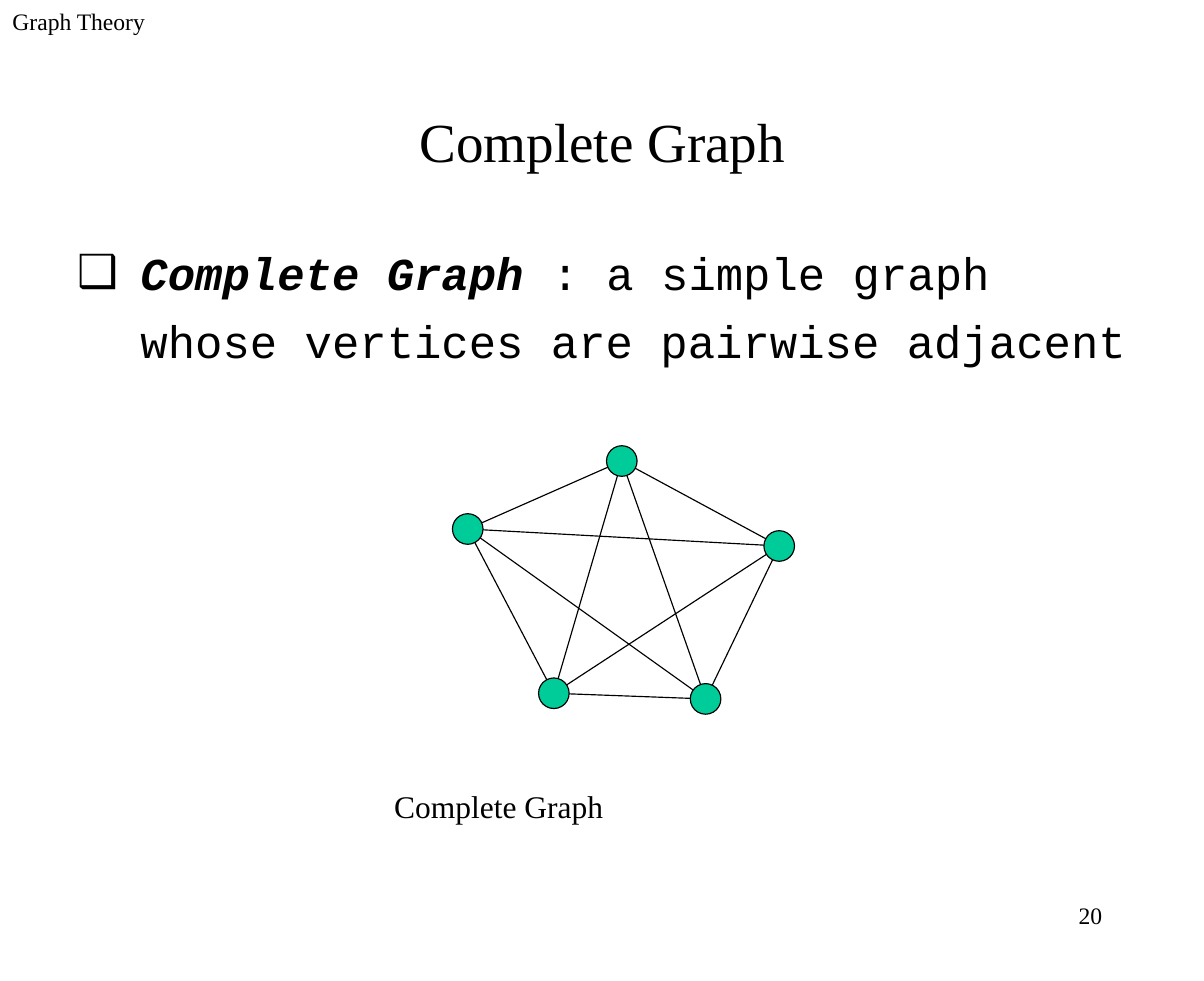
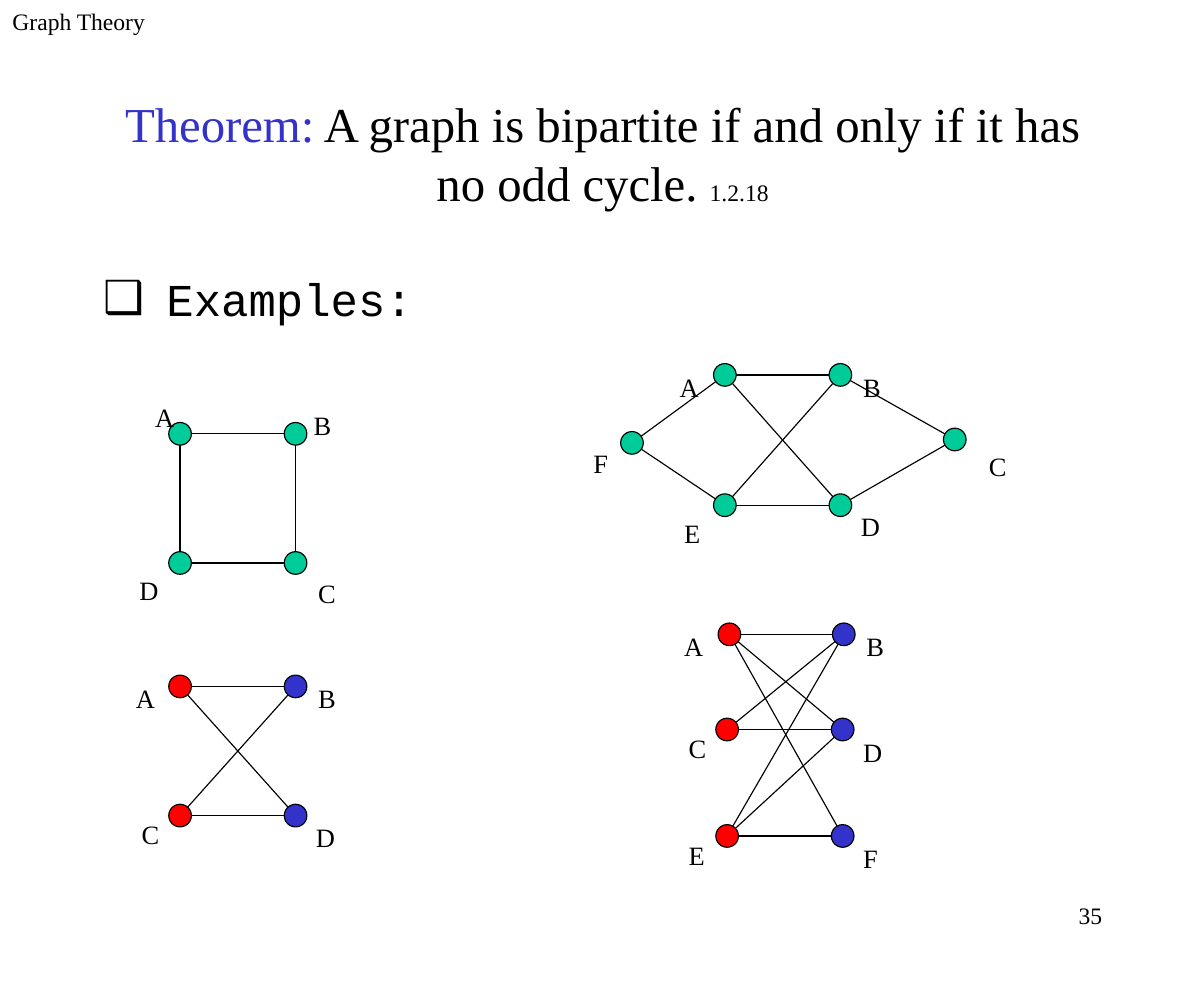
"""Two slides on complete and bipartite graphs."""
import math
from dataclasses import dataclass
from typing import Optional

from lxml import etree
from pptx import Presentation
from pptx import util as u
from pptx.dml.color import RGBColor
from pptx.enum import shapes, text
from pptx.oxml.ns import qn

PX = 9144
SERIF, MONO = "Times New Roman", "Courier New"
BLACK, GREEN, RED, BLUE = "000000", "00CC99", "FF0000", "3333CC"
LEFT, CENTER, RIGHT = text.PP_ALIGN.LEFT, text.PP_ALIGN.CENTER, text.PP_ALIGN.RIGHT
Box = tuple[int, int, int, int]


@dataclass(frozen=True)
class Run:
    words: str
    color: Optional[str] = None
    size: Optional[int] = None
    emphasis: bool = False


@dataclass(frozen=True)
class Vertex:
    name: str
    x: int
    y: int
    fill: str = GREEN
    label_at: Optional[tuple[int, int]] = None


@dataclass(frozen=True)
class Graph:
    vertices: list[Vertex]
    edges: str
    diameter: int = 20
    edge_gap: int = 0


@dataclass(frozen=True)
class Page:
    number: str
    title: list[Run]
    title_box: Box
    title_size: int
    body: list[Run]
    body_box: Box
    graphs: list[Graph]
    caption: str = ""


PAGES = [
    Page(
        "20",
        [Run("Complete Graph")], (80, 63, 904, 122), 35,
        [Run("Complete Graph ", emphasis=True),
         Run(": a simple graph whose vertices are pairwise adjacent")],
        (57, 198, 958, 165),
        [Graph([Vertex("1", 549, 407), Vertex("2", 688, 482), Vertex("3", 623, 617),
                Vertex("4", 489, 612), Vertex("5", 413, 467)],
               "12 13 14 15 23 24 25 34 35 45", diameter=27, edge_gap=13)],
        caption="Complete Graph",
    ),
    Page(
        "35",
        [Run("Theorem:", BLUE),
         Run(" A graph is bipartite if and only if it has no odd cycle. "),
         Run("1.2.18", size=15)],
        (80, 77, 904, 115), 31,
        [Run("Examples:")], (80, 221, 904, 64),
        [
            Graph([Vertex("A", 159, 383, GREEN, (126, 325)),
                   Vertex("B", 261, 383, GREEN, (266, 332)),
                   Vertex("C", 261, 497, GREEN, (270, 480)),
                   Vertex("D", 159, 497, GREEN, (112, 477))],
                  "AB BC CD DA"),
            Graph([Vertex("A", 159, 606, RED, (109, 573)),
                   Vertex("B", 261, 606, BLUE, (270, 573)),
                   Vertex("C", 159, 720, RED, (114, 693)),
                   Vertex("D", 261, 720, BLUE, (268, 695))],
                  "AB CD AD CB"),
            Graph([Vertex("A", 640, 331, GREEN, (589, 298)),
                   Vertex("B", 742, 331, GREEN, (751, 298)),
                   Vertex("C", 843, 388, GREEN, (862, 368)),
                   Vertex("D", 742, 446, GREEN, (749, 421)),
                   Vertex("E", 640, 446, GREEN, (593, 427)),
                   Vertex("F", 558, 391, GREEN, (513, 365))],
                  "AB BC CD DE EF FA AD BE"),
            Graph([Vertex("A", 644, 560, RED, (593, 527)),
                   Vertex("B", 745, 560, BLUE, (754, 527)),
                   Vertex("C", 642, 644, RED, (597, 617)),
                   Vertex("D", 744, 644, BLUE, (751, 620)),
                   Vertex("E", 642, 738, RED, (597, 711)),
                   Vertex("F", 744, 738, BLUE, (751, 714))],
                  "AB AD AF CB CD EB ED EF"),
        ],
    ),
]


def px(length: float) -> int:
    """Turn px into EMU."""
    return u.Emu(round(length * PX))


def rgb(color: str) -> RGBColor:
    """Read a hex colour."""
    return RGBColor.from_string(color)


def set_font(font, name: str, size: int, color: str = BLACK) -> None:
    """Set typeface, size and colour."""
    font.name, font.size = name, u.Pt(size)
    font.color.rgb = rgb(color)


def set_frame(frame, anchor=text.MSO_ANCHOR.TOP) -> None:
    """Give a text frame the shared insets and wrapping."""
    frame.word_wrap = True
    frame.auto_size = text.MSO_AUTO_SIZE.NONE
    frame.vertical_anchor = anchor
    frame.margin_left = frame.margin_right = px(11)
    frame.margin_top = frame.margin_bottom = px(6)


def place(shape, box: Box) -> None:
    """Move and size a shape."""
    shape.left, shape.top, shape.width, shape.height = map(px, box)


def add_runs(paragraph, runs: list[Run]) -> None:
    """Write runs with only their own differences."""
    for part in runs:
        run = paragraph.add_run()
        run.text = part.words
        if part.color:
            run.font.color.rgb = rgb(part.color)
        if part.size:
            run.font.size = u.Pt(part.size)
        if part.emphasis:
            run.font.bold = run.font.italic = True


def add_text(slide, words: str, box: Box, size: int, align=LEFT):
    """Add a one-paragraph text box and return its paragraph."""
    frame = slide.shapes.add_textbox(*map(px, box)).text_frame
    set_frame(frame)
    paragraph = frame.paragraphs[0]
    paragraph.text, paragraph.alignment = words, align
    set_font(paragraph.font, SERIF, size)
    return paragraph


def fill_title(slide, page: Page) -> None:
    """Fill the title placeholder."""
    title = slide.shapes.title
    place(title, page.title_box)
    set_frame(title.text_frame, text.MSO_ANCHOR.MIDDLE)
    paragraph = title.text_frame.paragraphs[0]
    paragraph.alignment = CENTER
    set_font(paragraph.font, SERIF, page.title_size)
    add_runs(paragraph, page.title)


def fill_body(slide, page: Page) -> None:
    """Fill the body placeholder with one bulleted item."""
    body = slide.placeholders[1]
    place(body, page.body_box)
    set_frame(body.text_frame)
    paragraph = body.text_frame.paragraphs[0]
    properties = paragraph._p.get_or_add_pPr()
    properties.set("marL", str(px(56)))
    properties.set("indent", str(px(-56)))
    bullet_color = etree.SubElement(properties, qn("a:buClr"))
    etree.SubElement(bullet_color, qn("a:srgbClr")).set("val", BLACK)
    etree.SubElement(properties, qn("a:buChar")).set("char", "❑")
    paragraph.line_spacing, paragraph.space_before = 1.25, u.Pt(0)
    set_font(paragraph.font, MONO, 29)
    add_runs(paragraph, page.body)


def add_edge(slide, start: Vertex, end: Vertex, gap: int) -> None:
    """Join two vertices, stopping short of each centre by the gap."""
    share = gap / math.dist((start.x, start.y), (end.x, end.y))
    dx, dy = (end.x - start.x) * share, (end.y - start.y) * share
    ends = (start.x + dx, start.y + dy, end.x - dx, end.y - dy)
    edge = slide.shapes.add_connector(shapes.MSO_CONNECTOR.STRAIGHT, *map(px, ends))
    edge.line.color.rgb, edge.line.width = rgb(BLACK), u.Pt(0.75)
    etree.SubElement(edge._element.spPr, qn("a:effectLst"))


def add_vertex(slide, vertex: Vertex, diameter: int) -> None:
    """Draw a vertex and its label, if it has one."""
    box = (vertex.x - diameter / 2, vertex.y - diameter / 2, diameter, diameter)
    dot = slide.shapes.add_shape(shapes.MSO_SHAPE.OVAL, *map(px, box))
    dot.shadow.inherit = False
    dot.fill.solid()
    dot.fill.fore_color.rgb = rgb(vertex.fill)
    dot.line.color.rgb, dot.line.width = rgb(BLACK), u.Pt(0.75)
    if vertex.label_at:
        label = add_text(slide, vertex.name, (*vertex.label_at, 47, 62), 29)
        label.runs[0].font._element.set("baseline", "-16000")


def add_graph(slide, graph: Graph) -> None:
    """Draw the edges, then the vertices over them."""
    by_name = {vertex.name: vertex for vertex in graph.vertices}
    for start, end in graph.edges.split():
        add_edge(slide, by_name[start], by_name[end], graph.edge_gap)
    for vertex in graph.vertices:
        add_vertex(slide, vertex, graph.diameter)


def add_page(deck, page: Page) -> None:
    """Build one slide."""
    slide = deck.slides.add_slide(deck.slide_layouts[1])
    add_text(slide, "Graph Theory", (0, 0, 222, 58), 15)
    add_text(slide, page.number, (762, 789, 222, 58), 15, RIGHT)
    fill_title(slide, page)
    fill_body(slide, page)
    if page.caption:
        add_text(slide, page.caption, (337, 689, 284, 44), 20)
    for graph in page.graphs:
        add_graph(slide, graph)


def main() -> None:
    """Build and save the deck."""
    deck = Presentation()
    deck.slide_width, deck.slide_height = px(1063), px(866)
    for page in PAGES:
        add_page(deck, page)
    deck.save("out.pptx")


if __name__ == "__main__":
    main()
